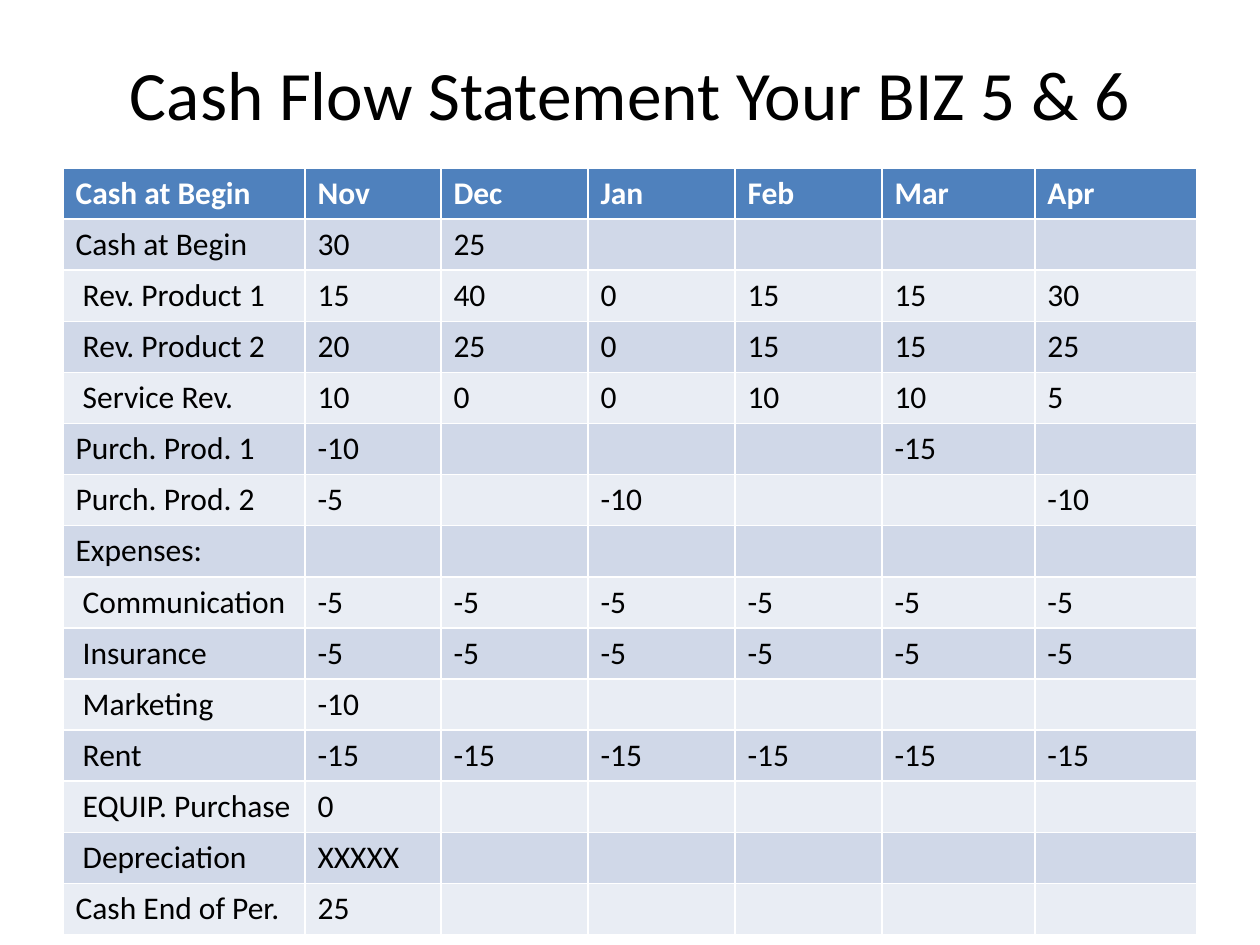
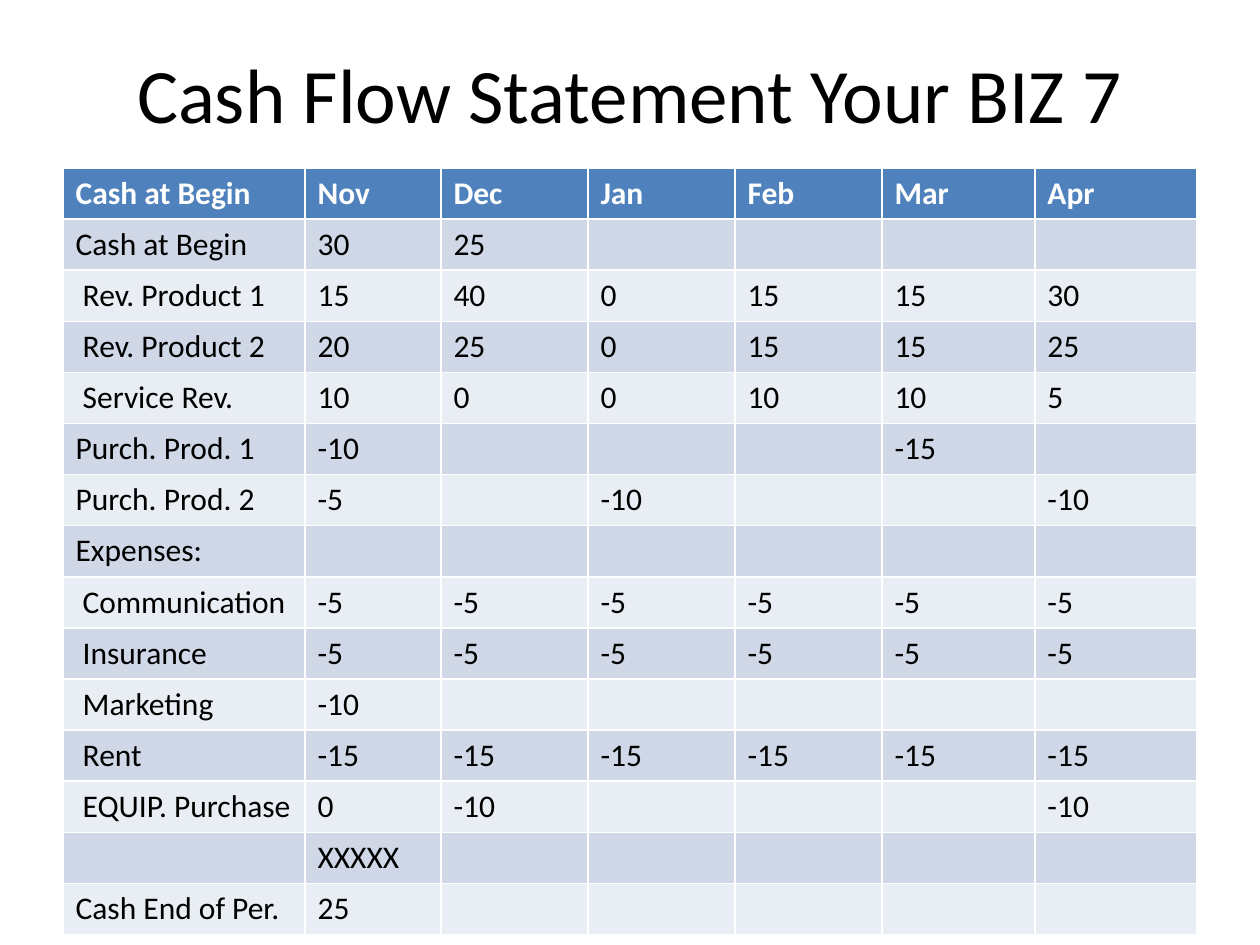
from dataclasses import dataclass

from pptx import Presentation
from pptx.dml.color import RGBColor as Rgb
from pptx.enum.text import MSO_ANCHOR as Anchor, MSO_AUTO_SIZE as Fit, PP_ALIGN as Align
from pptx.util import Emu, Pt

# Shared look
SCALE = 914400 / 126
WIDE, HIGH = 1260, 945
LEFT, SPAN = 63, 1134
TITLE_TOP, TITLE_HIGH = 38, 110
GRID_TOP, ROW_HIGH = 168, 51
COLS = (242, 136, 147, 147, 147, 153, 162)
HEX = {"head": "4F81BD", "dark": "D0D8E8", "light": "E9EDF4",
       "white": "FFFFFF", "black": "000000"}
FACE = "Calibri"

Row = tuple[str, ...]


@dataclass
class Page:
    title: str
    size: float
    rows: list[Row]


def px(n: int) -> Emu:
    return Emu(round(n * SCALE))


def style(obj, form: dict) -> None:
    for key, val in form.items():
        setattr(obj, key, val)


def write(frame, text: str, size: float, tint: str, bold: bool = False) -> None:
    run = frame.paragraphs[0].add_run()
    run.text = text
    style(run.font, {"name": FACE, "size": Pt(size), "bold": bold})
    run.font.color.rgb = Rgb.from_string(HEX[tint])


def add_title(slide, page: Page) -> None:
    box = slide.shapes.title
    style(box, {"left": px(LEFT), "top": px(TITLE_TOP),
                "width": px(SPAN), "height": px(TITLE_HIGH)})
    style(box.text_frame, {"vertical_anchor": Anchor.MIDDLE,
                           "auto_size": Fit.NONE, "word_wrap": True})
    box.text_frame.paragraphs[0].alignment = Align.CENTER
    write(box.text_frame, page.title, page.size, "black")


def add_grid(slide, rows: list[Row]) -> None:
    # The default table style supplies the white rules
    grid = slide.shapes.add_table(len(rows), len(COLS), px(LEFT), px(GRID_TOP),
                                  px(SPAN), px(ROW_HIGH * len(rows))).table
    for col, wide in zip(grid.columns, COLS):
        col.width = px(wide)
    for i, row in enumerate(rows):
        grid.rows[i].height = px(ROW_HIGH)
        head = i == 0
        fill = "head" if head else "dark" if i % 2 else "light"
        for j in range(len(COLS)):
            cell = grid.cell(i, j)
            cell.fill.solid()
            cell.fill.fore_color.rgb = Rgb.from_string(HEX[fill])
            if j < len(row) and row[j]:
                write(cell.text_frame, row[j], 18, "white" if head else "black", head)


# Rows common to both statements; short rows end in blank cells
BASE: list[Row] = [
    ("Cash at Begin", "Nov", "Dec", "Jan", "Feb", "Mar", "Apr"),
    ("Cash at Begin", "30", "25"),
    (" Rev. Product 1", "15", "40", "0", "15", "15", "30"),
    (" Rev. Product 2", "20", "25", "0", "15", "15", "25"),
    (" Service Rev.", "10", "0", "0", "10", "10", "5"),
    ("Purch. Prod. 1", "-10", "", "", "", "-15"),
    ("Purch. Prod. 2", "-5", "", "-10", "", "", "-10"),
    ("Expenses:",),
    (" Communication",) + ("-5",) * 6,
    (" Insurance",) + ("-5",) * 6,
    (" Marketing", "-10"),
    (" Rent",) + ("-15",) * 6,
]
LAST: Row = ("Cash End of Per.", "25")

PAGES = [
    Page("Cash Flow Statement Your BIZ 5 & 6", 39.6,
         [*BASE, (" EQUIP. Purchase", "0"), (" Depreciation", "XXXXX"), LAST]),
    Page("Cash Flow Statement Your BIZ 7", 44,
         [*BASE, (" EQUIP. Purchase", "0", "-10", "", "", "", "-10"),
          ("", "XXXXX"), LAST]),
]

# Build the slides
deck = Presentation()
style(deck, {"slide_width": px(WIDE), "slide_height": px(HIGH)})
plain = deck.slide_layouts.get_by_name("Title Only")
for page in PAGES:
    slide = deck.slides.add_slide(plain)
    add_title(slide, page)
    add_grid(slide, page.rows)
deck.save("out.pptx")
